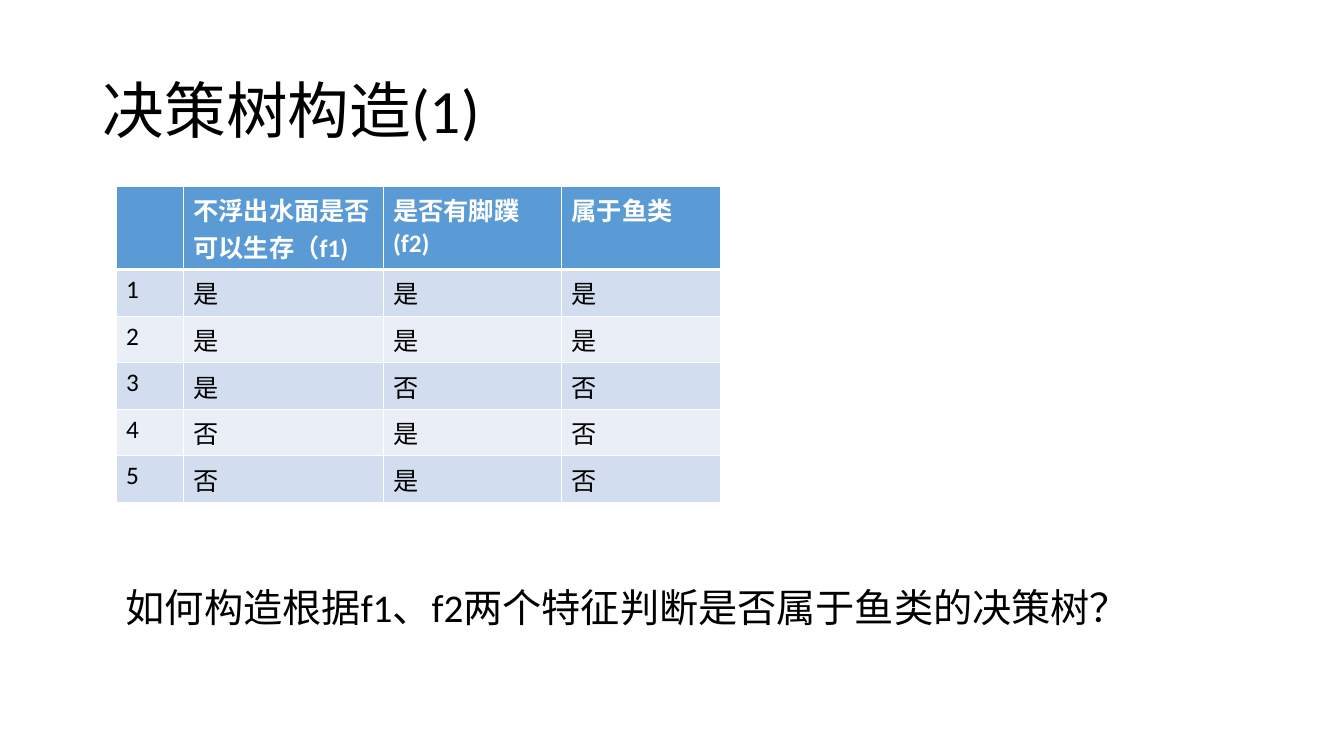
from dataclasses import dataclass

from lxml.etree import SubElement
from pptx import Presentation
from pptx.dml.color import RGBColor
from pptx.enum.text import MSO_ANCHOR, MSO_AUTO_SIZE, PP_ALIGN
from pptx.oxml.ns import qn
from pptx.slide import Slide
from pptx.table import _Cell
from pptx.text.text import TextFrame
from pptx.util import Emu, Pt

EMU_PER_PX = 9144
FONT = "Calibri"
COLORS = {
    "text": "000000",
    "white": "FFFFFF",
    "header": "5B9BD5",
    "odd": "D2DEEF",
    "even": "EAEFF7",
}
COLUMN_WIDTHS = (67, 198, 177, 158)
ROW_HEIGHT = 41
HEADERS = ("", "不浮出水面是否可以生存（f1)", "是否有脚蹼(f2)", "属于鱼类")


@dataclass(frozen=True)
class Box:
    left: int
    top: int
    width: int
    height: int

    def emu(self) -> tuple[Emu, Emu, Emu, Emu]:
        return px(self.left), px(self.top), px(self.width), px(self.height)


@dataclass(frozen=True)
class Animal:
    survives: str
    webbed: str
    fish: str


ANIMALS = (
    Animal("是", "是", "是"),
    Animal("是", "是", "是"),
    Animal("是", "否", "否"),
    Animal("否", "是", "否"),
    Animal("否", "是", "否"),
)


def px(length: int) -> Emu:
    return Emu(length * EMU_PER_PX)


def color(name: str) -> RGBColor:
    return RGBColor.from_string(COLORS[name])


def write(frame: TextFrame, text: str, size: int, ink: str = "text", bold: bool = False) -> None:
    paragraph = frame.paragraphs[0]
    paragraph.alignment = PP_ALIGN.LEFT
    run = paragraph.add_run()
    run.text = text
    run.font.name = FONT
    run.font.size = Pt(size)
    run.font.bold = bold
    run.font.color.rgb = color(ink)


def border(cell: _Cell, side: str, points: int) -> None:
    properties = cell._tc.get_or_add_tcPr()
    line = SubElement(properties, qn(f"a:ln{side}"), w=str(Pt(points)))
    fill = SubElement(line, qn("a:solidFill"))
    SubElement(fill, qn("a:srgbClr"), val=COLORS["white"])


def add_title(slide: Slide) -> None:
    title = slide.shapes.title
    title.left, title.top, title.width, title.height = Box(92, 40, 1150, 145).emu()
    title.text_frame.vertical_anchor = MSO_ANCHOR.MIDDLE
    write(title.text_frame, "决策树构造(1)", 44)
    title.text_frame.paragraphs[0].line_spacing = 0.9


def add_animals(slide: Slide) -> None:
    rows = [HEADERS] + [
        (str(number), animal.survives, animal.webbed, animal.fish)
        for number, animal in enumerate(ANIMALS, 1)
    ]
    bounds = Box(115, 185, sum(COLUMN_WIDTHS), ROW_HEIGHT * len(rows))
    table = slide.shapes.add_table(len(rows), len(HEADERS), *bounds.emu()).table
    for column, width in zip(table.columns, COLUMN_WIDTHS):
        column.width = px(width)
    for index, values in enumerate(rows):
        table.rows[index].height = px(ROW_HEIGHT)
        is_header = index == 0
        band = "header" if is_header else "odd" if index % 2 else "even"
        for column, value in enumerate(values):
            cell = table.cell(index, column)
            border(cell, "L", 1)
            border(cell, "R", 1)
            border(cell, "T", 3 if index == 1 else 1)
            border(cell, "B", 3 if is_header else 1)
            cell.fill.solid()
            cell.fill.fore_color.rgb = color(band)
            if value:
                write(cell.text_frame, value, 18, "white" if is_header else "text", is_header)


def add_question(slide: Slide) -> None:
    question = slide.shapes.add_textbox(*Box(115, 574, 1026, 57).emu())
    question.text_frame.word_wrap = False
    question.text_frame.auto_size = MSO_AUTO_SIZE.SHAPE_TO_FIT_TEXT
    write(question.text_frame, "如何构造根据f1、f2两个特征判断是否属于鱼类的决策树？", 28)


def main() -> None:
    deck = Presentation()
    deck.slide_width, deck.slide_height = px(1333), px(750)
    slide = deck.slides.add_slide(deck.slide_layouts.get_by_name("Title Only"))
    add_title(slide)
    add_animals(slide)
    add_question(slide)
    deck.save("out.pptx")


if __name__ == "__main__":
    main()
